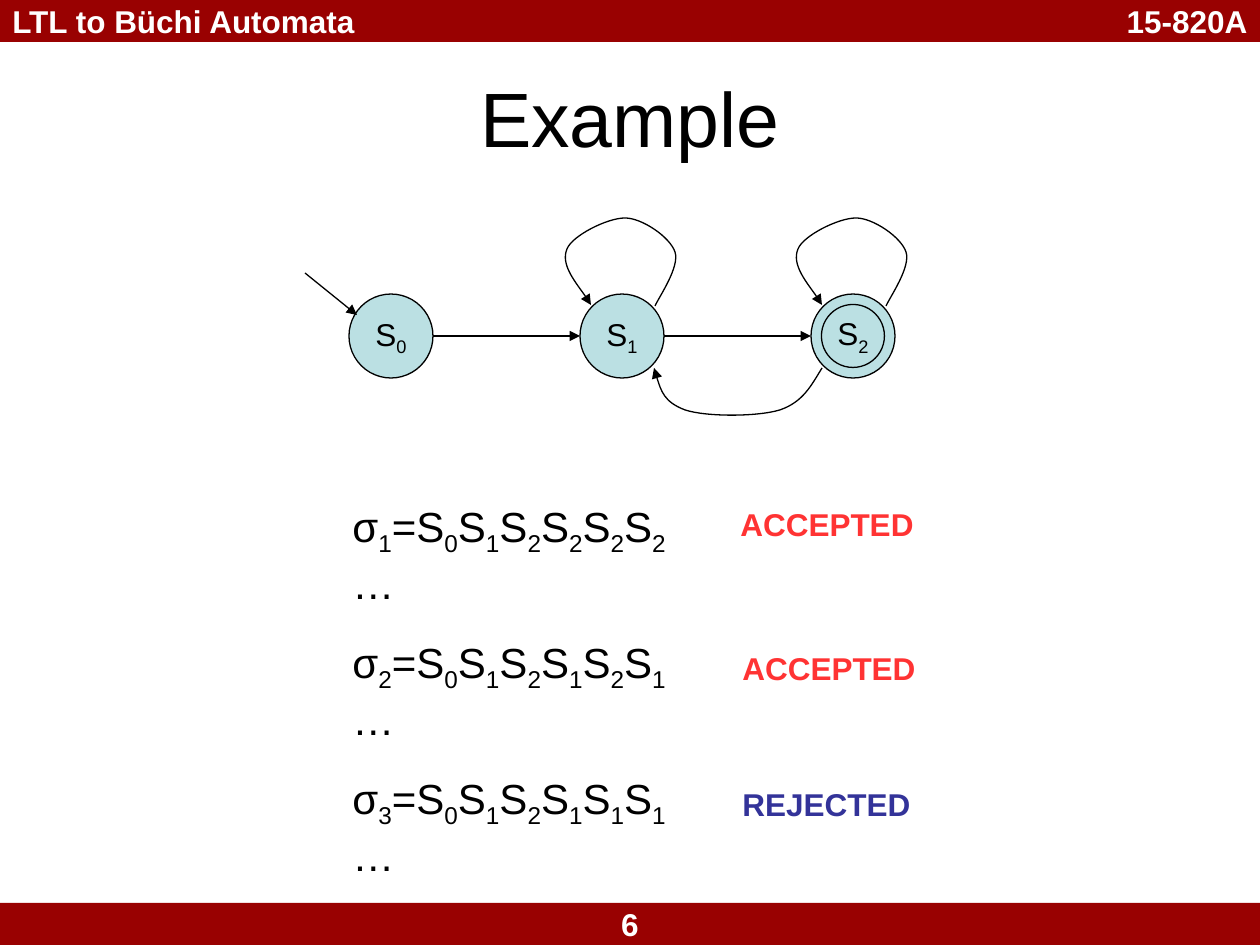
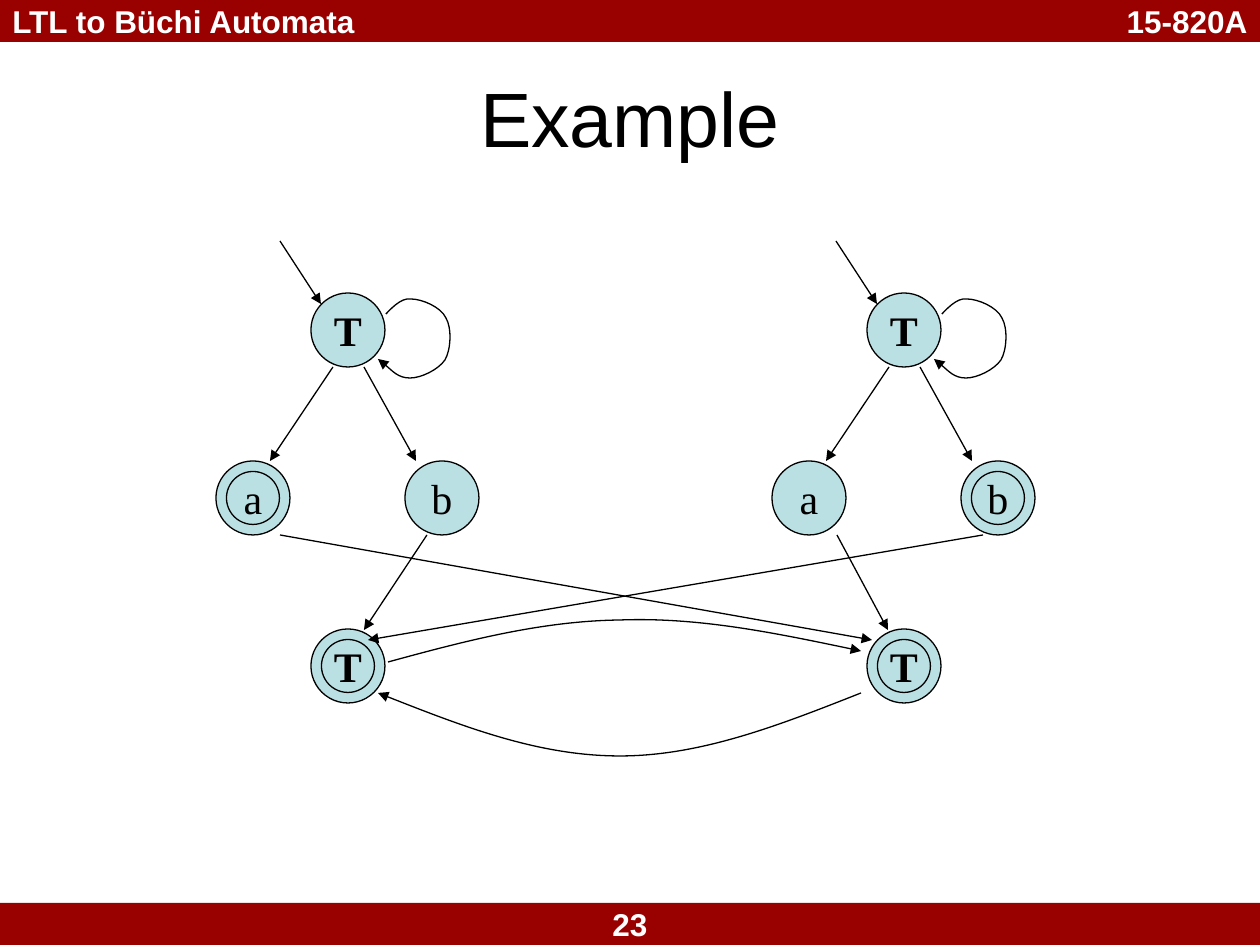
"""Build two slides that show Büchi automata examples."""
from itertools import groupby

from lxml import etree
from pptx import Presentation
from pptx.dml.color import RGBColor
from pptx.enum.shapes import MSO_CONNECTOR, MSO_SHAPE
from pptx.enum.text import MSO_ANCHOR, PP_ALIGN
from pptx.oxml.ns import qn
from pptx.util import Pt

PX = 914400 / 126
WIDTH, HEIGHT, BAND = 1260, 945, 42
MAROON = RGBColor(0x99, 0x01, 0x01)
AQUA = RGBColor(0xBB, 0xE0, 0xE3)
RED = RGBColor(0xFF, 0x33, 0x33)
BLUE = RGBColor(0x33, 0x33, 0x99)
BLACK = RGBColor(0, 0, 0)
WHITE = RGBColor(255, 255, 255)
SANS, SERIF = "Arial", "Times New Roman"
LEFT, MID, RIGHT = PP_ALIGN.LEFT, PP_ALIGN.CENTER, PP_ALIGN.RIGHT
TOP, CENTER = MSO_ANCHOR.TOP, MSO_ANCHOR.MIDDLE
RECT, OVAL = MSO_SHAPE.RECTANGLE, MSO_SHAPE.OVAL
LINE = MSO_CONNECTOR.STRAIGHT


def emu(*sizes):
    """Turn px into EMU."""
    return [round(size * PX) for size in sizes]


class Deck:
    """Hold the shared style and the current slide."""

    def __init__(self):
        self.prs = Presentation()
        self.prs.slide_width, self.prs.slide_height = emu(WIDTH, HEIGHT)

    def start(self, title, page):
        """Add a slide with its title, bands and page number."""
        slide = self.prs.slides.add_slide(self.prs.slide_layouts[5])
        self.shapes = slide.shapes
        head = self.shapes.title
        head.left, head.top, head.width, head.height = emu(63, 38, 1134, 158)
        self.label(head, title, 44, align=MID)
        self.band(0, "15-820A", RIGHT)
        self.band(HEIGHT - BAND, page, MID)
        self.text(0, 0, WIDTH, BAND, "LTL to Büchi Automata", 18,
                  color=WHITE, bold=True, anchor=CENTER)

    def label(self, shape, text, size, font=SANS, color=BLACK, bold=False,
              align=LEFT, anchor=CENTER, wrap=True, sub=False):
        """Fill a shape with text; sub lowers the digits."""
        frame = shape.text_frame
        frame.word_wrap, frame.vertical_anchor = wrap, anchor
        para = frame.paragraphs[0]
        para.alignment = align
        parts = [text]
        if sub:
            parts = ["".join(group) for _, group in groupby(text, str.isdigit)]
        for part in parts:
            run = para.add_run()
            run.text = part
            run.font.name, run.font.size = font, Pt(size)
            run.font.bold, run.font.color.rgb = bold, color
            if sub and part.isdigit():
                run._r.get_or_add_rPr().set("baseline", "-25000")

    def text(self, x, y, w, h, text, size, anchor=TOP, **style):
        """Add a text box."""
        box = self.shapes.add_textbox(*emu(x, y, w, h))
        self.label(box, text, size, anchor=anchor, **style)

    def shape(self, kind, x, y, w, h, color):
        """Add a filled shape without a shadow."""
        shape = self.shapes.add_shape(kind, *emu(x, y, w, h))
        shape.shadow.inherit = False
        shape.fill.solid()
        shape.fill.fore_color.rgb = color
        return shape

    def band(self, y, text, align):
        """Add a full-width band."""
        bar = self.shape(RECT, 0, y, WIDTH, BAND, MAROON)
        bar.line.fill.background()
        self.label(bar, text, 18, color=WHITE, bold=True, align=align)

    def node(self, x, y, size, text, points, final=False, **style):
        """Add a state around a centre, with a second ring if final."""
        for wide in (size, size - 21) if final else (size,):
            ring = self.shape(OVAL, x - wide / 2, y - wide / 2,
                              wide, wide, AQUA)
            ring.line.color.rgb, ring.line.width = BLACK, Pt(0.75)
        self.label(ring, text, points, align=MID, wrap=False, **style)

    def stroke(self, shape):
        """Give a line its ink and arrowhead, and no shadow."""
        shape.line.color.rgb, shape.line.width = BLACK, Pt(0.75)
        props = shape._element.spPr
        tail = etree.SubElement(props.find(qn("a:ln")), qn("a:tailEnd"))
        tail.set("type", "triangle")
        etree.SubElement(props, qn("a:effectLst"))

    def arrow(self, x1, y1, x2, y2):
        """Add a straight arrow."""
        self.stroke(self.shapes.add_connector(LINE, *emu(x1, y1, x2, y2)))

    def curve(self, dots, dx=0):
        """Add a curved arrow from a start and triples of Bézier points."""
        first, *rest = [(x + dx, y) for x, y in dots]
        pen = self.shapes.build_freeform(*first, scale=PX)
        pen.add_line_segments(rest, close=False)
        shape = pen.convert_to_shape()
        shape.fill.background()
        steps = list(shape._element.iter(qn("a:lnTo")))
        for i in range(0, len(steps), 3):
            owner = steps[i].getparent()
            bend = etree.SubElement(owner, qn("a:cubicBezTo"))
            for step in steps[i:i + 3]:
                bend.append(step[0])
                owner.remove(step)
        self.stroke(shape)


def runs(deck):
    """Draw the chain of states and the three runs."""
    deck.start("Example", "6")
    gap, y = 231, 336
    for i in range(3):
        deck.node(391 + i * gap, y, 84, f"S{i}", 18, final=i == 2, sub=True)
    for x in (433, 664):
        deck.arrow(x, y, x + 147, y)
    deck.arrow(305, 273, 357, 315)
    loop = [(886, 306), (890, 297), (911, 267), (906, 252),
            (901, 237), (873, 218), (856, 218), (838, 218), (803, 236),
            (798, 249), (791, 265), (816, 294), (822, 305)]
    for dx in (0, -gap):
        deck.curve(loop, dx)
    deck.curve([(822, 368), (811, 386), (803, 402), (780, 410), (757, 417),
                (706, 417), (685, 410), (664, 402), (659, 386), (654, 368)])
    words = [("σ1=S0S1S2S2S2S2…", "ACCEPTED", RED, 728, 499),
             ("σ2=S0S1S2S1S2S1…", "ACCEPTED", RED, 730, 643),
             ("σ3=S0S1S2S1S1S1…", "REJECTED", BLUE, 730, 779)]
    for i, (word, verdict, color, x, top) in enumerate(words):
        deck.text(340, 494 + i * 136, 376, 71, word, 24, sub=True)
        deck.text(x, top, 204, 50, verdict, 18, color=color, bold=True)


def pair(deck):
    """Draw the two linked copies of the automaton."""
    deck.start("Example", "23")
    loop = [(386, 314), (389, 311), (401, 297), (411, 299),
            (422, 299), (441, 307), (446, 318), (452, 328), (451, 350),
            (445, 360), (438, 370), (421, 378), (410, 378),
            (398, 378), (384, 363), (378, 359)]
    for dx, final in ((0, "a"), (556, "b")):
        for x, y, name in ((348, 330, "T"), (253, 498, "a"),
                           (442, 498, "b"), (348, 666, "T")):
            deck.node(x + dx, y, 74, name, 24, font=SERIF, bold=name == "T",
                      final=name == final or y == 666)
        for x1, y1, x2, y2 in ((280, 241, 321, 304), (333, 367, 270, 461),
                               (364, 367, 416, 461)):
            deck.arrow(x1 + dx, y1, x2 + dx, y2)
        deck.curve(loop, dx)
    for x1, x2, y2 in ((280, 872, 640), (427, 364, 630),
                       (837, 888, 630), (983, 368, 640)):
        deck.arrow(x1, 535, x2, y2)
    deck.curve([(388, 662), (465, 641), (541, 621), (620, 620),
                (698, 617), (780, 634), (861, 651)])
    deck.curve([(861, 693), (780, 725), (701, 756), (620, 756),
                (539, 756), (459, 725), (378, 693)])


def main():
    """Build and save the slides."""
    deck = Deck()
    runs(deck)
    pair(deck)
    deck.prs.save("out.pptx")


if __name__ == "__main__":
    main()
